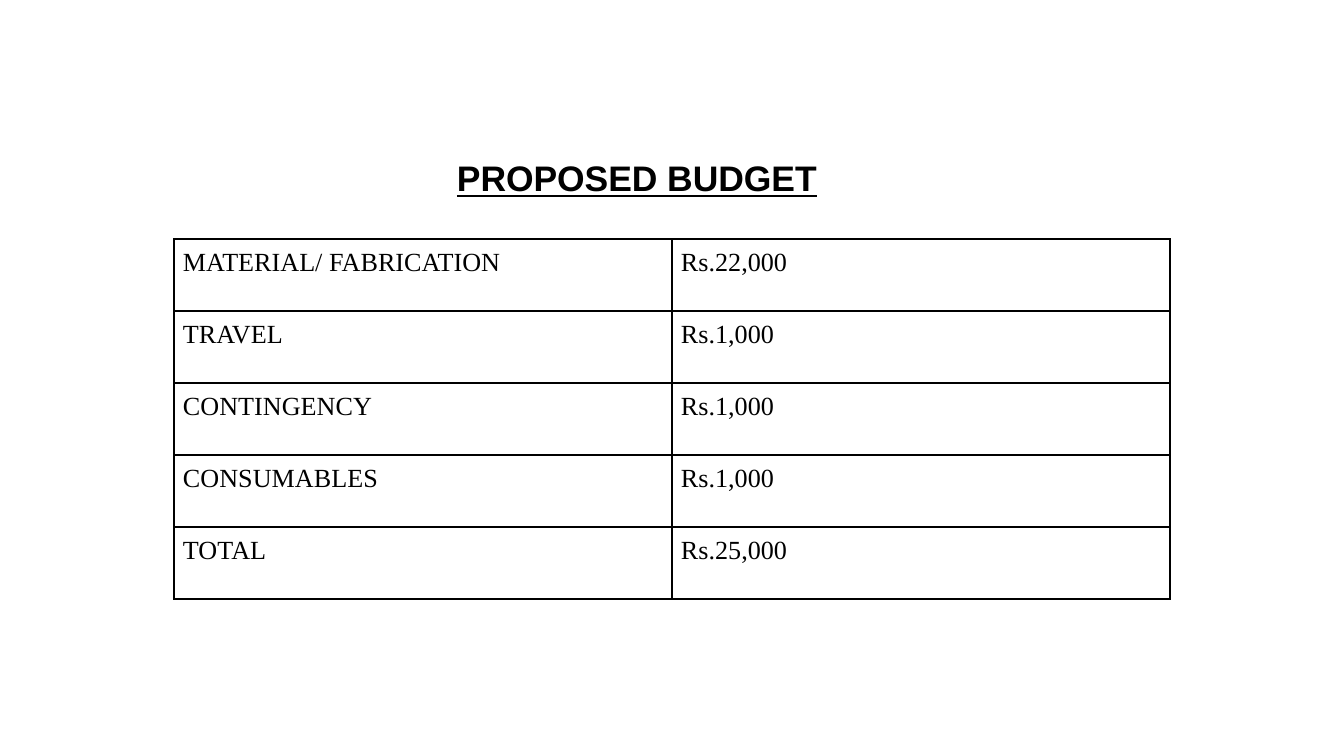
"""Build a slide with the proposed budget as a table."""
import pptx
import pptx.dml.color
import pptx.enum.text
import pptx.oxml.ns
import pptx.util
from lxml import etree

SCALE = 914400 / 134.4
COLORS = {"ink": "000000", "paper": "FFFFFF"}
BUDGET = [
    ("MATERIAL/ FABRICATION", "Rs.22,000"),
    ("TRAVEL", "Rs.1,000"),
    ("CONTINGENCY", "Rs.1,000"),
    ("CONSUMABLES", "Rs.1,000"),
    ("TOTAL", "Rs.25,000"),
]


def px(size):
    return pptx.util.Emu(round(size * SCALE))


def color(name):
    return pptx.dml.color.RGBColor.from_string(COLORS[name])


class Painter:
    def __init__(self, slide):
        self.slide = slide
        self.head = {"name": "Arial", "size": pptx.util.Pt(19),
                     "bold": True, "underline": True}
        self.body = {"name": "Times New Roman", "size": pptx.util.Pt(14)}

    def style(self, frame, look):
        for par in frame.paragraphs:
            for run in par.runs:
                for key, value in look.items():
                    setattr(run.font, key, value)
                run.font.color.rgb = color("ink")

    def title(self, text, left, top, width, height, pad, foot):
        box = self.slide.shapes.add_textbox(px(left), px(top), px(width), px(height))
        frame = box.text_frame
        frame.word_wrap = True
        frame.vertical_anchor = pptx.enum.text.MSO_ANCHOR.MIDDLE
        frame.margin_left = frame.margin_right = frame.margin_top = px(pad)
        frame.margin_bottom = px(foot)
        frame.text = text
        par = frame.paragraphs[0]
        par.alignment = pptx.enum.text.PP_ALIGN.JUSTIFY
        par.line_spacing = 1.15
        self.style(frame, self.head)

    def border(self, cell):
        props = cell._tc.get_or_add_tcPr()
        qn = pptx.oxml.ns.qn
        for side in ("lnL", "lnR", "lnT", "lnB"):
            line = etree.SubElement(props, qn("a:" + side), w=str(pptx.util.Pt(1)))
            fill = etree.SubElement(line, qn("a:solidFill"))
            etree.SubElement(fill, qn("a:srgbClr"), val=COLORS["ink"])

    def table(self, rows, left, top, wide, high, pad):
        count, span = len(rows), len(rows[0])
        grid = self.slide.shapes.add_table(
            count, span, px(left), px(top), px(wide * span), px(high * count)).table
        grid.first_row = grid.horz_banding = False
        for col in grid.columns:
            col.width = px(wide)
        for line, row in zip(grid.rows, rows):
            line.height = px(high)
            for cell, text in zip(line.cells, row):
                self.border(cell)
                cell.fill.solid()
                cell.fill.fore_color.rgb = color("paper")
                cell.margin_left = cell.margin_right = px(pad)
                cell.margin_top = cell.margin_bottom = px(pad)
                cell.text_frame.text = text
                self.style(cell.text_frame, self.body)


def main():
    deck = pptx.Presentation()
    deck.slide_width, deck.slide_height = px(1344), px(756)
    slide = deck.slides.add_slide(deck.slide_layouts[6])
    paint = Painter(slide)
    paint.table(BUDGET, 174, 239, 498, 72, 9)
    paint.title("PROPOSED BUDGET", 444, 69, 456, 258, 13, 60)
    deck.save("out.pptx")


if __name__ == "__main__":
    main()
